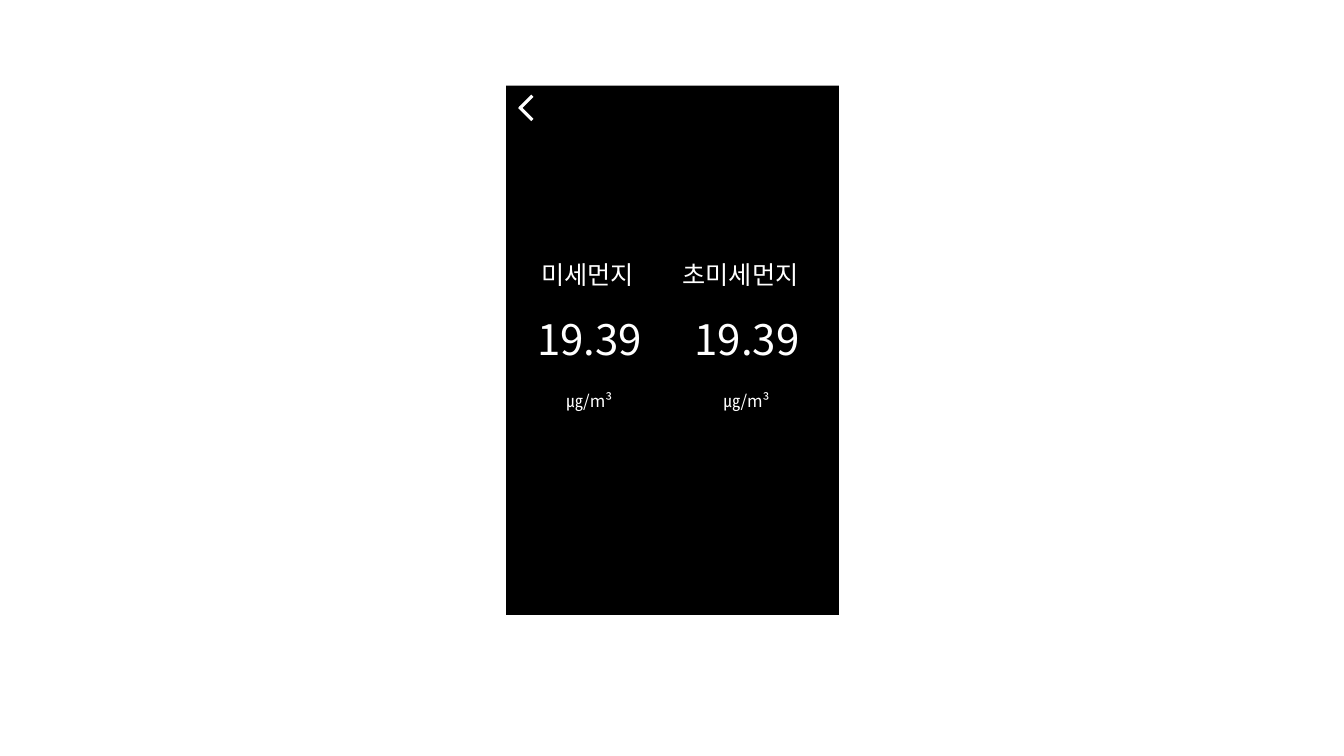
from dataclasses import dataclass

from lxml.etree import SubElement as Sub
from pptx import Presentation
from pptx.dml.color import RGBColor as Color
from pptx.enum.shapes import MSO_CONNECTOR as Link, MSO_SHAPE as Kind
from pptx.enum.text import MSO_AUTO_SIZE as Fit
from pptx.oxml.ns import qn
from pptx.slide import Slide
from pptx.util import Inches, Pt


@dataclass(frozen=True)
class Theme:
    face: str = "Noto Sans CJK KR"
    dark: Color = Color(0, 0, 0)
    light: Color = Color(255, 255, 255)
    head: int = 18
    value: int = 30
    unit: int = 12
    stroke: float = 2.25


@dataclass(frozen=True)
class Label:
    text: str
    left: float
    top: float
    width: float
    height: float
    size: int


@dataclass(frozen=True)
class Stroke:
    start: tuple[float, float]
    end: tuple[float, float]


@dataclass(frozen=True)
class Gauge:
    name: str
    value: str
    head: float
    left: float


THEME = Theme()
ARROW = [
    Stroke((5.28, 0.95), (5.16, 1.07)),
    Stroke((5.15, 1.06), (5.28, 1.19)),
]
GAUGES = [
    Gauge("초미세먼지", "19.39", 6.67, 6.79),
    Gauge("미세먼지", "19.39", 5.27, 5.23),
]


def put(item: object, style: dict) -> None:
    for key, value in style.items():
        setattr(item, key, value)


def draw_screen(slide: Slide) -> None:
    box = map(Inches, (5.02, 0.85, 3.3, 5.25))
    screen = slide.shapes.add_shape(Kind.RECTANGLE, *box)
    screen.shadow.inherit = False
    screen.fill.solid()
    screen.fill.fore_color.rgb = THEME.dark
    screen.line.fill.background()


def draw_stroke(slide: Slide, stroke: Stroke) -> None:
    ends = map(Inches, stroke.start + stroke.end)
    line = slide.shapes.add_connector(Link.STRAIGHT, *ends)
    line.line.color.rgb = THEME.light
    line.line.width = Pt(THEME.stroke)
    Sub(line._element.spPr, qn("a:effectLst"))


def draw_label(slide: Slide, label: Label) -> None:
    box = map(Inches, (label.left, label.top, label.width, label.height))
    frame = slide.shapes.add_textbox(*box).text_frame
    put(frame, {"word_wrap": True, "auto_size": Fit.SHAPE_TO_FIT_TEXT})
    run = frame.paragraphs[0].add_run()
    run.text = label.text
    put(run.font, {"size": Pt(label.size), "name": THEME.face})
    run.font.color.rgb = THEME.light
    Sub(run.font._element, qn("a:ea"), typeface=THEME.face)


def draw_gauge(slide: Slide, gauge: Gauge) -> None:
    labels = [
        Label(gauge.name, gauge.head, 2.52, 1.49, 0.4, THEME.head),
        Label(gauge.value, gauge.left, 3.06, 1.24, 0.61, THEME.value),
        Label("㎍/m³", gauge.left + 0.29, 3.83, 0.66, 0.3, THEME.unit),
    ]
    for label in labels:
        draw_label(slide, label)


def main() -> None:
    deck = Presentation()
    put(deck, {"slide_width": Inches(13.33), "slide_height": Inches(7.5)})
    slide = deck.slides.add_slide(deck.slide_layouts[6])
    draw_screen(slide)
    for stroke in ARROW:
        draw_stroke(slide, stroke)
    for gauge in GAUGES:
        draw_gauge(slide, gauge)
    deck.save("out.pptx")


if __name__ == "__main__":
    main()
